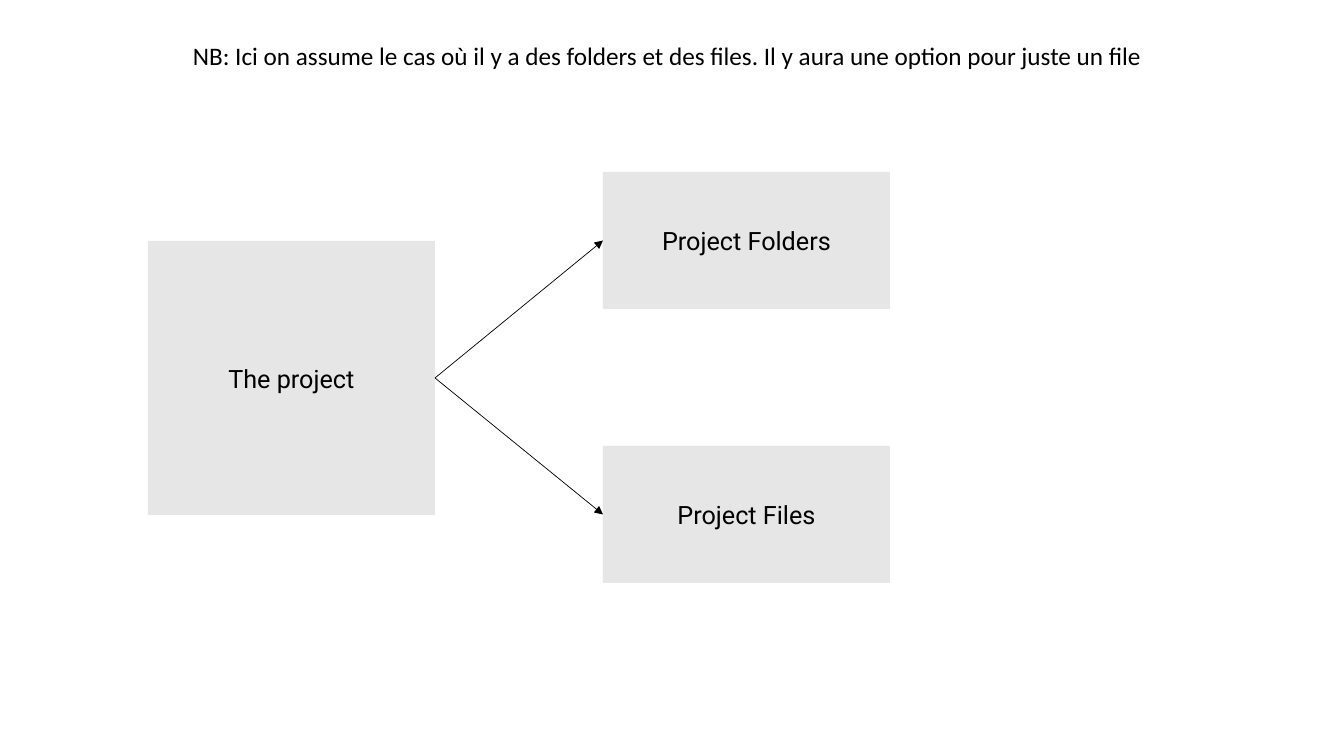
"""Build the slide that splits a project into its folders and files."""
from dataclasses import dataclass

from lxml import etree
from pptx import Presentation
from pptx import util as u
from pptx.dml.color import RGBColor
from pptx.enum import shapes, text
from pptx.oxml import ns

EMU_PER_PIXEL = 914400 / 100.8
COLORS = {"background": "FFFFFF", "box": "E7E6E6", "ink": "000000"}
LEFT_SITE, RIGHT_SITE = 1, 3
BOX_WIDTH, CHILD_HEIGHT = 287, 137
CHILD_LEFT, CHILD_TOP = 603, 172
NOTE = ("NB: Ici on assume le cas où il y a des folders et des files. "
        "Il y aura une option pour juste un file")


@dataclass(frozen=True)
class Box:
    """A labelled rectangle, measured in pixels."""
    label: str
    left: int
    top: int
    height: int


PROJECT = Box("The project", 148, CHILD_TOP + CHILD_HEIGHT // 2 + 1, 2 * CHILD_HEIGHT)
CHILDREN = [Box(label, CHILD_LEFT, CHILD_TOP + index * 2 * CHILD_HEIGHT, CHILD_HEIGHT)
            for index, label in enumerate(("Project Folders", "Project Files"))]


def px(pixels: int) -> u.Emu:
    """Convert pixels to EMU."""
    return u.Emu(round(pixels * EMU_PER_PIXEL))


def color(name: str) -> RGBColor:
    """Look up a named colour."""
    return RGBColor.from_string(COLORS[name])


def write(shape, content: str, font_name: str) -> None:
    """Put one centred paragraph into a shape."""
    shape.text_frame.word_wrap = True
    paragraph = shape.text_frame.paragraphs[0]
    paragraph.text = content
    paragraph.alignment = text.PP_ALIGN.CENTER
    paragraph.font.name = font_name
    paragraph.font.size = u.Pt(18)
    paragraph.font.color.rgb = color("ink")


def add_box(slide, box: Box):
    """Draw a labelled box and return its shape."""
    shape = slide.shapes.add_shape(shapes.MSO_SHAPE.RECTANGLE, px(box.left), px(box.top),
                                   px(BOX_WIDTH), px(box.height))
    shape.shadow.inherit = False
    shape.fill.solid()
    shape.fill.fore_color.rgb = color("box")
    shape.line.fill.background()
    shape.text_frame.vertical_anchor = text.MSO_ANCHOR.MIDDLE
    write(shape, box.label, "Roboto")
    return shape


def add_arrow(slide, source, target) -> None:
    """Connect the right side of one shape to the left side of another."""
    arrow = slide.shapes.add_connector(shapes.MSO_CONNECTOR.STRAIGHT, 0, 0, 0, 0)
    arrow.begin_connect(source, RIGHT_SITE)
    arrow.end_connect(target, LEFT_SITE)
    arrow.line.color.rgb = color("ink")
    arrow.line.width = u.Pt(0.5)
    etree.SubElement(arrow.line._get_or_add_ln(), ns.qn("a:tailEnd"), type="triangle")
    etree.SubElement(arrow._element.spPr, ns.qn("a:effectLst"))


def add_note(slide) -> None:
    """Write the remark above the diagram."""
    note = slide.shapes.add_textbox(px(183), px(35), px(977), px(40))
    note.text_frame.auto_size = text.MSO_AUTO_SIZE.SHAPE_TO_FIT_TEXT
    write(note, NOTE, "Calibri")
    note.text_frame.paragraphs[0].alignment = text.PP_ALIGN.LEFT


def main() -> None:
    """Build and save the presentation."""
    presentation = Presentation()
    presentation.slide_width, presentation.slide_height = px(1344), px(756)
    slide = presentation.slides.add_slide(presentation.slide_layouts[6])
    slide.background.fill.solid()
    slide.background.fill.fore_color.rgb = color("background")
    project = add_box(slide, PROJECT)
    for child in CHILDREN:
        add_arrow(slide, project, add_box(slide, child))
    add_note(slide)
    presentation.save("out.pptx")


main()
